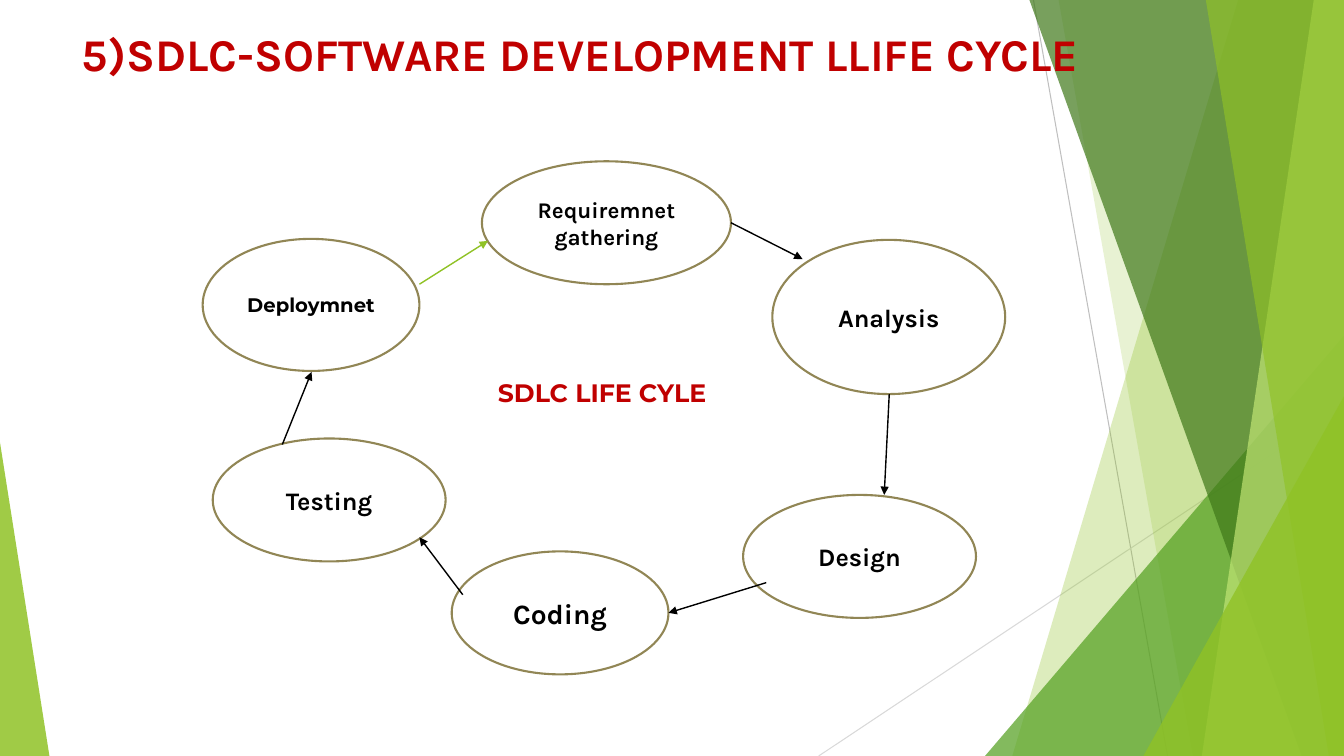
"""Build the software development life cycle slide."""
from lxml import etree
from pptx import Presentation
from pptx import util as u
from pptx.dml.color import RGBColor
from pptx.enum import shapes, text
from pptx.oxml.ns import qn

WIDTH, HEIGHT = 13.33, 7.5
COLORS = {
    "red": "C00000", "black": "000000", "white": "FFFFFF", "olive": "918655",
    "lime": "90C226", "green": "54A021", "forest": "3F7819", "pale": "C0E474",
    "gray": "BFBFBF", "silver": "D9D9D9",
}
RAYS = [
    ((10.25, 0), (11.58, HEIGHT), "gray"),
    ((WIDTH, 4.03), (8.12, HEIGHT), "silver"),
]
BACK_BANDS = [(12.28, 10.04, "lime", 30), (10.5, 11.83, "lime", 20)]
FRONT_BANDS = [
    (10.21, 12.91, "forest", 70),
    (13.03, 11.92, "pale", 70),
    (11.96, 13.18, "lime", 65),
]
BACK_CORNER = (9.77, 3.33, 3.56, 1, "green", 72)
FRONT_CORNERS = [(11.34, 3.93, 1.99, 1, "lime", 80), (0, 4.39, 0.49, 0, "lime", 85)]
STAGES = [
    ("Requiremnet gathering", (4.78, 1.6, 2.47, 1.22), 16, "Karla"),
    ("Analysis", (7.66, 2.38, 2.31, 1.53), 18, "Karla"),
    ("Design", (7.37, 4.91, 2.31, 1.22), 18, "Karla"),
    ("Coding", (4.48, 5.47, 2.15, 1.22), 20, "Karla"),
    ("Testing", (2.11, 4.35, 2.31, 1.22), 18, "Karla"),
    ("Deploymnet", (2.01, 2.37, 2.15, 1.31), 14, "Montserrat"),
]
ARROWS = [
    ((7.25, 2.21), (7.96, 2.57), "black"),
    ((8.82, 3.91), (8.77, 4.91), "black"),
    ((7.6, 5.78), (6.63, 6.08), "black"),
    ((4.59, 5.9), (4.16, 5.33), "black"),
    ((2.8, 4.41), (3.09, 3.69), "black"),
    ((4.16, 2.82), (4.84, 2.39), "lime"),
]


def color(name):
    """Return the named colour."""
    return RGBColor.from_string(COLORS[name])


def inches(values):
    """Convert numbers to lengths."""
    return [u.Inches(value) for value in values]


def assign(target, values):
    """Set each attribute of the target from a dict."""
    for name, value in values.items():
        setattr(target, name, value)


def paint(shape, fill, opacity=100):
    """Give a shape a flat fill with the given opacity in percent."""
    shape.shadow.inherit = False
    shape.fill.solid()
    shape.fill.fore_color.rgb = color(fill)
    shape.line.fill.background()
    if opacity < 100:
        tone = shape.element.spPr.find(qn("a:solidFill"))[0]
        etree.SubElement(tone, qn("a:alpha"), val=str(opacity * 1000))


def write(box, words, size, font, tone, align, anchor, wrap=True):
    """Fill a shape with one bold paragraph."""
    assign(box.text_frame, {
        "word_wrap": wrap, "auto_size": text.MSO_AUTO_SIZE.NONE,
        "vertical_anchor": anchor,
    })
    para = box.text_frame.paragraphs[0]
    para.alignment = align
    span = para.add_run()
    span.text = words
    assign(span.font, {"size": u.Pt(size), "name": font, "bold": True})
    span.font.color.rgb = color(tone)


def add_line(page, start, end, tone, weight, arrow=False):
    """Draw a straight line, with an arrowhead at its end if asked."""
    line = page.shapes.add_connector(
        shapes.MSO_CONNECTOR.STRAIGHT, *inches(start + end))
    line.line.color.rgb = color(tone)
    line.line.width = u.Pt(weight)
    properties = line.element.spPr
    if arrow:
        etree.SubElement(properties.find(qn("a:ln")), qn("a:tailEnd"), type="triangle")
    etree.SubElement(properties, qn("a:effectLst"))


def add_band(page, top, bottom, tone, opacity):
    """Draw a slanted band that reaches the right edge of the slide."""
    builder = page.shapes.build_freeform(*inches((top, 0)))
    corners = [(WIDTH, 0), (WIDTH, HEIGHT), (bottom, HEIGHT)]
    builder.add_line_segments([inches(corner) for corner in corners], close=True)
    paint(builder.convert_to_shape(), tone, opacity)


def add_corner(page, left, top, width, apex, tone, opacity):
    """Draw a triangle that stands on the bottom edge of the slide."""
    corner = page.shapes.add_shape(
        shapes.MSO_SHAPE.ISOSCELES_TRIANGLE,
        *inches((left, top, width, HEIGHT - top)))
    corner.adjustments[0] = apex
    paint(corner, tone, opacity)


def add_decor(page):
    """Draw the green facets at the sides of the slide."""
    for ray in RAYS:
        add_line(page, *ray, 0.75)
    for band in BACK_BANDS:
        add_band(page, *band)
    add_corner(page, *BACK_CORNER)
    for band in FRONT_BANDS:
        add_band(page, *band)
    for corner in FRONT_CORNERS:
        add_corner(page, *corner)


def add_title(page, words):
    """Fill the title placeholder and bring it in front of the facets."""
    title = page.shapes.title
    left, top, width, height = inches((0.71, 0.21, 10.29, 1.1))
    assign(title, {"left": left, "top": top, "width": width, "height": height})
    write(title, words, 32.4, "Karla", "red",
          text.PP_ALIGN.LEFT, text.MSO_ANCHOR.TOP)
    title.element.getparent().append(title.element)


def add_stage(page, words, place, size, font):
    """Draw one stage of the cycle."""
    stage = page.shapes.add_shape(shapes.MSO_SHAPE.OVAL, *inches(place))
    paint(stage, "white")
    stage.line.color.rgb = color("olive")
    stage.line.width = u.Pt(1.5)
    write(stage, words, size, font, "black",
          text.PP_ALIGN.CENTER, text.MSO_ANCHOR.MIDDLE)


def add_caption(page, words):
    """Write the name of the cycle in its middle."""
    caption = page.shapes.add_textbox(*inches((4.84, 3.69, 2.47, 0.4)))
    write(caption, words, 18, "Montserrat", "red",
          text.PP_ALIGN.LEFT, text.MSO_ANCHOR.TOP)


def main():
    """Build and save the deck."""
    deck = Presentation()
    deck.slide_width, deck.slide_height = inches((WIDTH, HEIGHT))
    page = deck.slides.add_slide(deck.slide_layouts.get_by_name("Title Only"))
    add_decor(page)
    add_title(page, "5)SDLC-SOFTWARE DEVELOPMENT LLIFE CYCLE")
    for stage in STAGES:
        add_stage(page, *stage)
    for arrow in ARROWS:
        add_line(page, *arrow, 1, arrow=True)
    add_caption(page, "SDLC LIFE CYLE")
    deck.save("out.pptx")


main()
